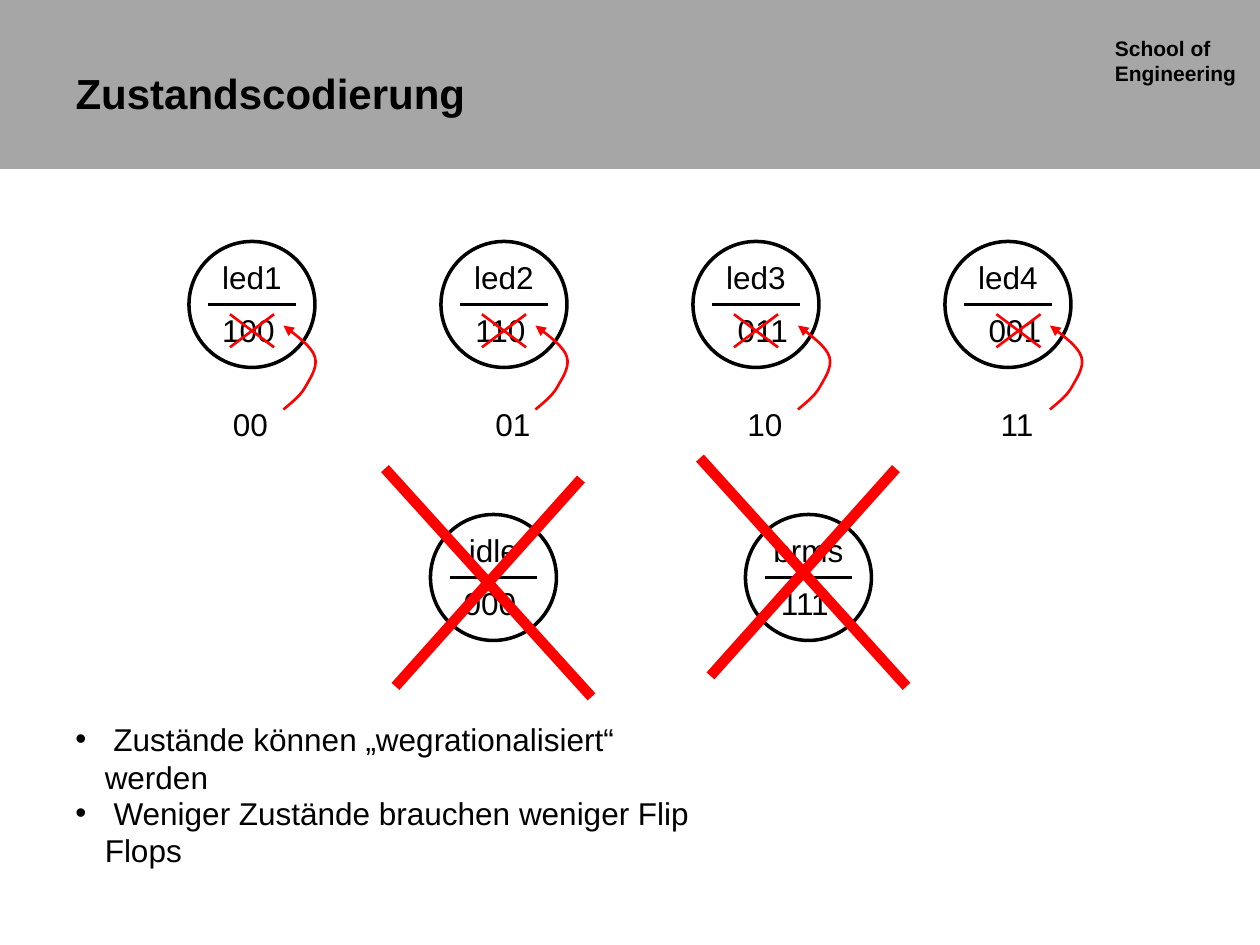
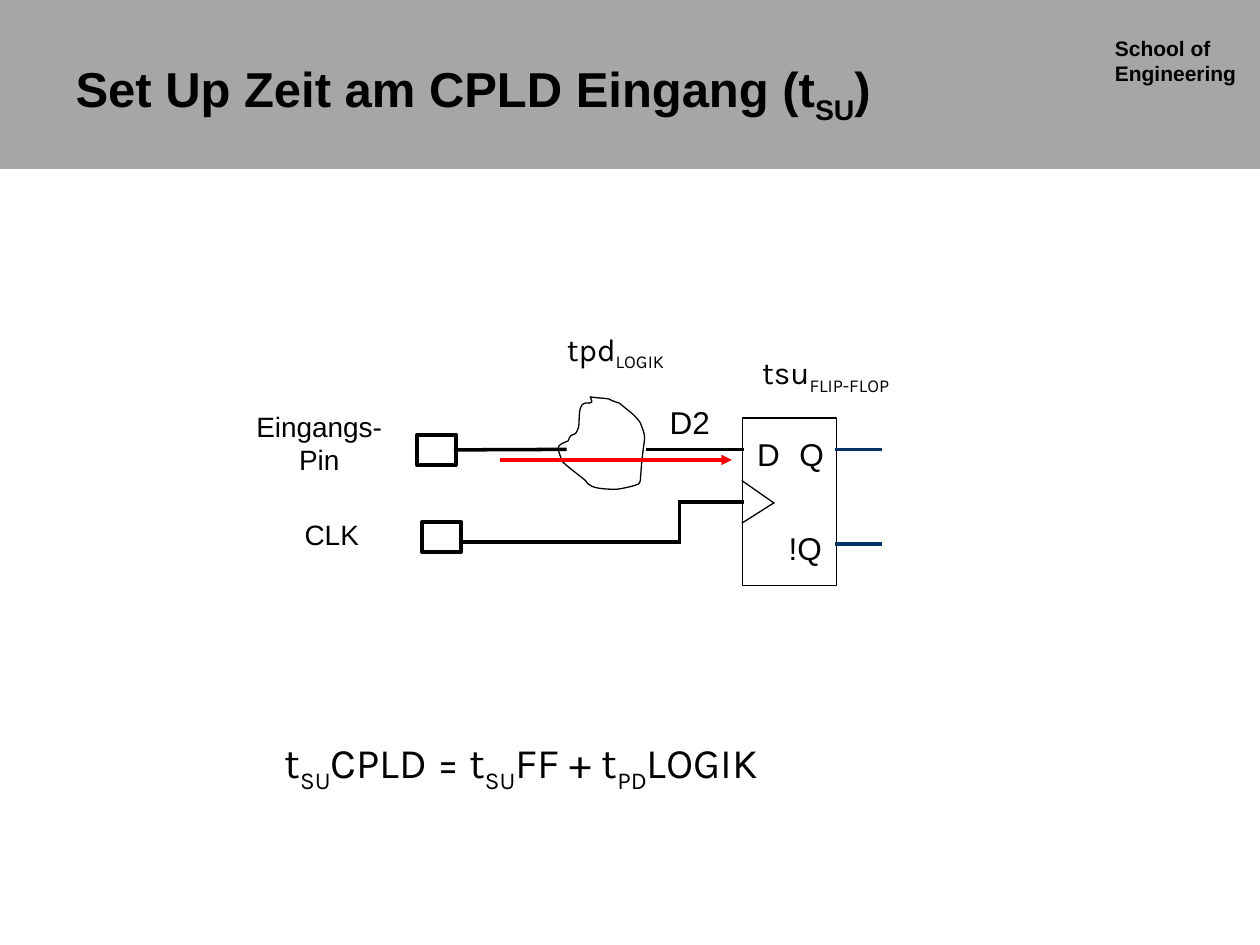
from lxml.etree import SubElement as Sub
from pptx import Presentation
from pptx.dml.color import RGBColor as RGB
from pptx.enum.shapes import MSO_CONNECTOR as Conn, MSO_SHAPE as Kind
from pptx.enum.text import MSO_ANCHOR as Anchor, MSO_AUTO_SIZE as Fit, PP_ALIGN as Align
from pptx.oxml.ns import qn
from pptx.util import Pt

PX = 7620
WIDE, HIGH = 1200, 900

THEME = {
    "ink": "000000", "red": "FF0000", "navy": "003366", "band": "A6A6A6", "paper": "FFFFFF",
    "font": "Arial", "math": "Karla",
    "head": 24, "large": 28, "body": 18, "label": 16, "sum": 24, "note": 12,
    "thin": 0.75, "mark": 1.5, "line": 2, "pin": 2.25, "bold": 6,
}

BAND = (0, 0, WIDE, 161)
SCHOOL = ("School of\nEngineering", (1050, 28, 150, 60))
TITLE = (60, 36, 821, 104)

CODING = "Zustandscodierung"
STATES = [
    ("led1", 180, 230), ("led2", 420, 230), ("led3", 660, 230), ("led4", 900, 230),
    ("idle", 410, 490), ("brms", 710, 490),
]
CODES = [
    ("100", 190, 290), ("110", 430, 290), ("011", 680, 290), ("001", 920, 290),
    ("000", 420, 550), ("111", 720, 550),
    ("00", 192, 380), ("01", 442, 380), ("10", 682, 380), ("11", 922, 380),
]
STRIKES = [220, 460, 700, 950]
DROPS = [(0, 0), (300, -10)]
DROP = [((370, 450), (560, 660)), ((380, 650), (550, 460))]
BENDS = [270, 510, 760, 1000]
BEND = [
    (0, 80), (7, 74), (15, 68), (20, 60), (25, 51), (33, 40), (30, 30),
    (27, 20), (13, 10), (0, 0),
]
POINTS = [
    (" Zustände können „wegrationalisiert“ werden", (60, 680, 626, 48)),
    (" Weniger Zustände brauchen weniger Flip Flops", (60, 750, 673, 48)),
]

SETUP = "Set Up Zeit am CPLD Eingang (t_SU_)"
FLOP = (707, 398, 90, 160)
PINS = [(397, 414, 37, 29), (402, 497, 37, 29)]
LABELS = [
    ("Q", (748, 408, 50, 48), "body"),
    ("D", (707, 408, 50, 48), "body"),
    ("!Q", (727, 498, 80, 48), "body"),
    ("D2", (587, 378, 140, 48), "body"),
    ("CLK", (251, 487, 130, 44), "label"),
    ("Eingangs-\nPin", (222, 384, 164, 76), "label"),
]
TIMES = [
    ("t_SU_CPLD = t_SU_FF + t_PD_LOGIK", (259, 696, 527, 67), "sum"),
    ("tsu_FLIP-FLOP_", (714, 330, 155, 53), "body"),
    ("tpd_LOGIK_", (528, 308, 128, 53), "body"),
]
WIRES = [
    ((797, 518), (838, 518), "navy", "line"),
    ((797, 428), (838, 428), "navy", "line"),
    ((707, 458), (737, 479), "ink", "thin"),
    ((737, 479), (707, 498), "ink", "thin"),
    ((677, 428), (707, 428), "navy", "line"),
    ((707, 428), (617, 428), "ink", "line"),
    ((647, 479), (647, 516), "ink", "line"),
    ((439, 516), (646, 516), "ink", "line"),
]
CLOUD = [
    (562, 378), (568, 379), (574, 379), (580, 380), (583, 382), (590, 384), (590, 384),
    (598, 391), (605, 395), (610, 403), (617, 422), (613, 410), (610, 455),
    (610, 457), (610, 459), (608, 461), (604, 463), (590, 466), (586, 466),
    (584, 466), (566, 466), (562, 462), (560, 461), (559, 460), (558, 458),
    (551, 452), (542, 446), (535, 439), (532, 427), (527, 425), (541, 420),
    (545, 409), (547, 419), (551, 407), (552, 401), (551, 394), (553, 388),
    (556, 379), (568, 389), (562, 378),
]


def emu(vals):
    return [round(v * PX) for v in vals]


def tint(name):
    return RGB.from_string(THEME[name])


def put(obj, **vals):
    for key, val in vals.items():
        setattr(obj, key, val)


def write(box, text, size="body", font="font", bold=False, align=Align.LEFT, **frame):
    tf = box.text_frame
    put(tf, **frame)
    par = tf.paragraphs[0]
    par.alignment = align
    for row, line in enumerate(text.split("\n")):
        if row:
            par.add_line_break()
        for i, part in enumerate(line.split("_")):
            if not part:
                continue
            run = par.add_run()
            run.text = part
            put(run.font, name=THEME[font], size=Pt(THEME[size]), bold=bold)
            run.font.color.rgb = tint("ink")
            if i % 2:
                run.font._element.set("baseline", "-25000")
    return par


def label(shapes, text, at, size="body", align=Align.CENTER, **style):
    box = shapes.add_textbox(*emu(at))
    wrap = align == Align.LEFT
    return write(box, text, size, align=align, word_wrap=wrap,
                 auto_size=Fit.SHAPE_TO_FIT_TEXT, **style)


def stroke(shape, color, width, head=False):
    shape.line.color.rgb = tint(color)
    shape.line.width = Pt(THEME[width])
    if head:
        Sub(shape.line._get_or_add_ln(), qn("a:tailEnd"), type="triangle")


def shape(shapes, kind, at, fill=None, width=None):
    new = shapes.add_shape(kind, *emu(at))
    new.shadow.inherit = False
    if fill:
        new.fill.solid()
        new.fill.fore_color.rgb = tint(fill)
    else:
        new.fill.background()
    if width:
        stroke(new, "ink", width)
    else:
        new.line.fill.background()
    return new


def wire(shapes, start, end, color="ink", width="line", head=False):
    new = shapes.add_connector(Conn.STRAIGHT, *emu(start + end))
    stroke(new, color, width, head)
    new.line._get_or_add_ln().set("cap", "sq")
    Sub(new._element.spPr, qn("a:effectLst"))
    return new


def cross(shapes, pairs, width):
    group = shapes.add_group_shape().shapes
    for start, end in pairs:
        wire(group, start, end, "red", width)


def trace(knots, steps=8):
    dots = [knots[0]]
    for i in range(0, len(knots) - 1, 3):
        for n in range(1, steps + 1):
            t = n / steps
            mix = ((1 - t) ** 3, 3 * t * (1 - t) ** 2, 3 * t * t * (1 - t), t ** 3)
            dots.append(tuple(sum(m * k[axis] for m, k in zip(mix, knots[i:i + 4]))
                              for axis in (0, 1)))
    return [emu(dot) for dot in dots]


def curve(shapes, knots, color, width, close=False, head=False):
    dots = trace(knots)
    pen = shapes.build_freeform(*dots[0], scale=1.0)
    pen.add_line_segments(dots[1:], close=close)
    new = pen.convert_to_shape()
    new.shadow.inherit = False
    new.fill.background()
    stroke(new, color, width, head)


def start(deck, text, size):
    slide = deck.slides.add_slide(deck.slide_layouts[5])
    shapes = slide.shapes
    shape(shapes, Kind.RECTANGLE, BAND, "band")
    label(shapes, *SCHOOL, "note", Align.LEFT, bold=True)
    title = shapes.title
    left, top, width, height = emu(TITLE)
    put(title, left=left, top=top, width=width, height=height)
    write(title, text, size, bold=True, word_wrap=True,
          auto_size=Fit.NONE, vertical_anchor=Anchor.MIDDLE)
    shapes.element.append(title.element)
    return shapes


def state(shapes, name, x, y):
    group = shapes.add_group_shape().shapes
    shape(group, Kind.OVAL, (x, y, 120, 120), "paper", "line")
    wire(group, (x + 20, y + 60), (x + 100, y + 60))
    label(group, name, (x, y + 10, 120, 48))


def bullet(par):
    props = par._p.get_or_add_pPr()
    hang = 28 * PX
    props.set("marL", str(hang))
    props.set("indent", str(-hang))
    Sub(props, qn("a:buFont"), typeface=THEME["font"])
    Sub(props, qn("a:buChar"), char="•")


def coding(deck):
    shapes = start(deck, CODING, "head")
    for item in STATES:
        state(shapes, *item)
    for code, x, y in CODES:
        label(shapes, code, (x, y, 93, 48))
    for dx, dy in DROPS:
        cross(shapes, [[(x + dx, y + dy) for x, y in pair] for pair in DROP], "bold")
    for x in STRIKES:
        cross(shapes, [((x, 300), (x + 40, 330)), ((x, 330), (x + 40, 300))], "mark")
    for left in BENDS:
        curve(shapes, [(left + x, 310 + y) for x, y in BEND], "red", "mark", head=True)
    for text, at in POINTS:
        bullet(label(shapes, text, at, align=Align.LEFT))


def setup(deck):
    shapes = start(deck, SETUP, "large")
    flop = shape(shapes, Kind.RECTANGLE, FLOP, width="thin")
    pin, clock = [shape(shapes, Kind.RECTANGLE, at, width="pin") for at in PINS]
    stub = wire(shapes, (677, 478), (707, 478), "navy")
    stub.end_connect(flop, 1)
    for item in WIRES:
        wire(shapes, *item)
    curve(shapes, CLOUD, "ink", "thin", close=True)
    wire(shapes, (434, 428), (538, 428)).begin_connect(pin, 3)
    wire(shapes, (707, 478), (647, 478)).begin_connect(flop, 1)
    wire(shapes, (478, 438), (697, 438), "red", head=True)
    for item in LABELS:
        label(shapes, *item)
    for item in TIMES:
        label(shapes, *item, Align.LEFT, font="math")


def main():
    deck = Presentation()
    put(deck, slide_width=WIDE * PX, slide_height=HIGH * PX)
    coding(deck)
    setup(deck)
    deck.save("out.pptx")


if __name__ == "__main__":
    main()
